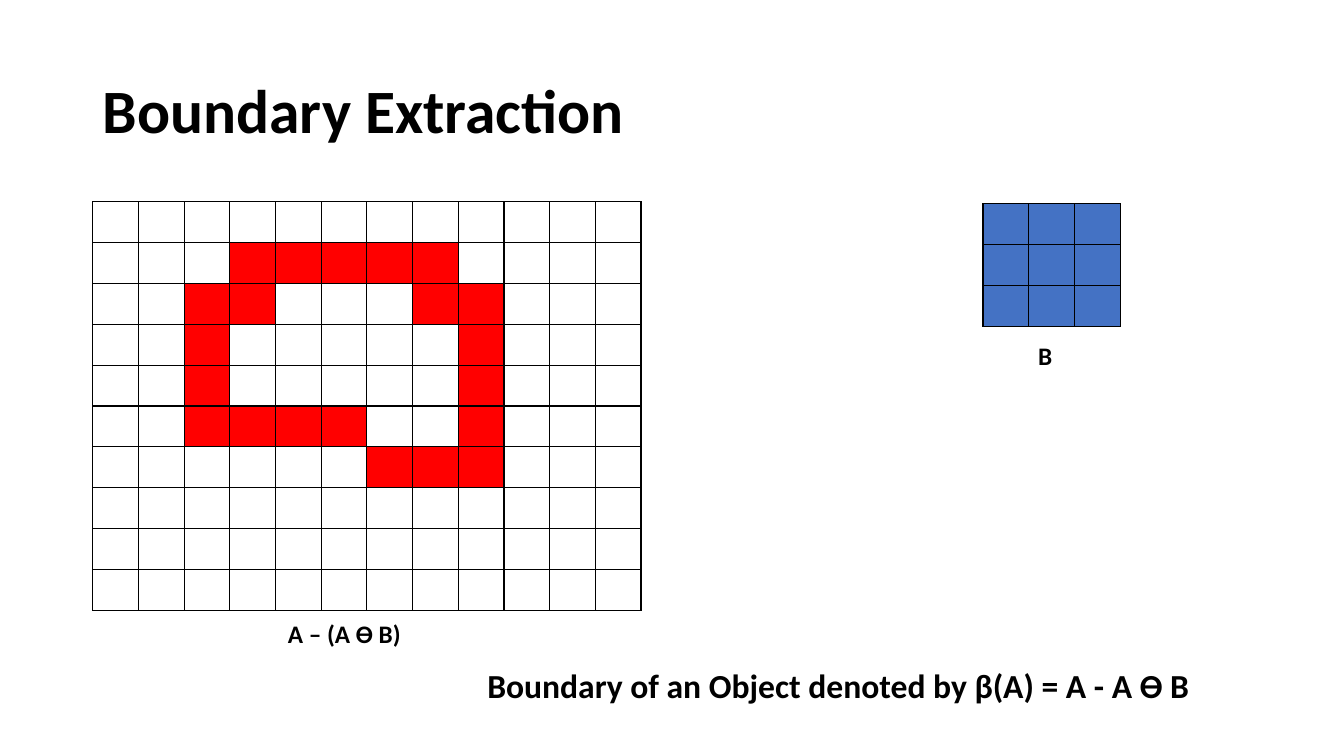
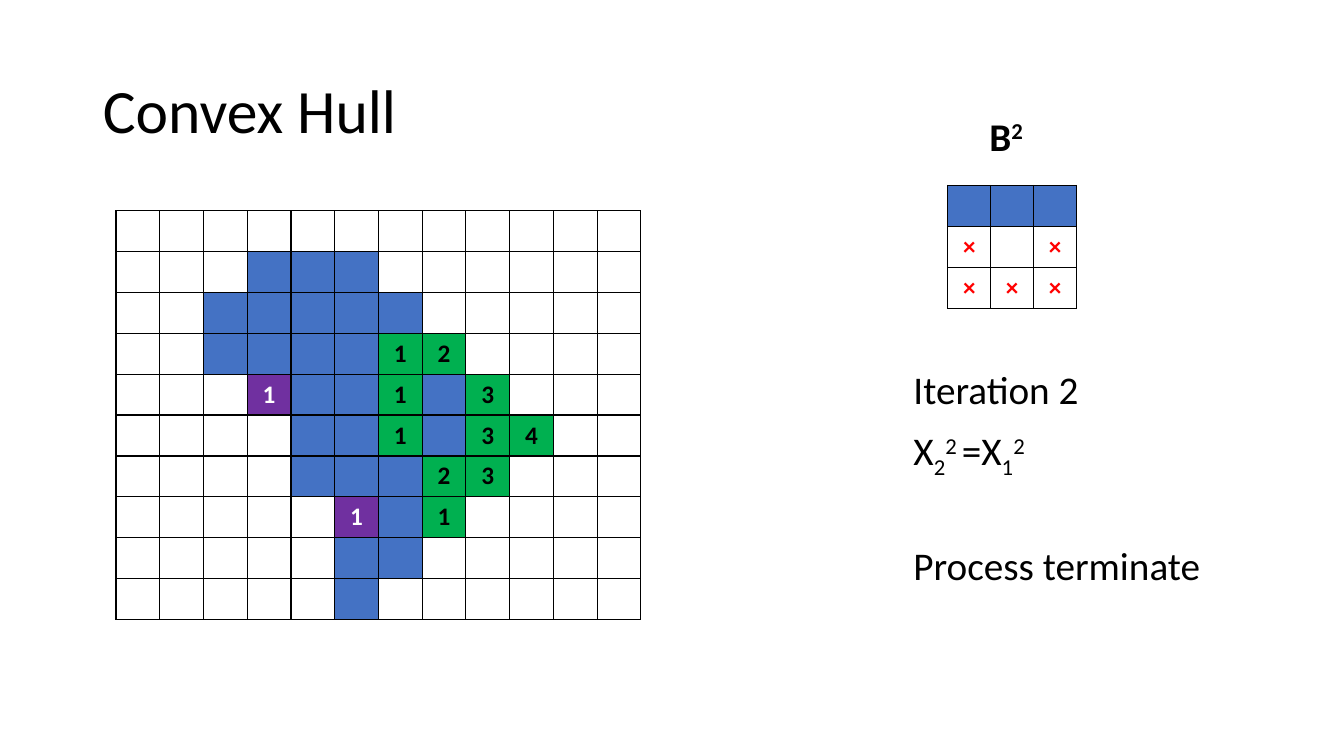
import pptx
import pptx.dml.color
import pptx.enum.text
import pptx.oxml.ns
import pptx.util
import lxml.etree

RGB = pptx.dml.color.RGBColor
ALIGN = pptx.enum.text.PP_ALIGN
ANCHOR = pptx.enum.text.MSO_ANCHOR
qn = pptx.oxml.ns.qn

PX = 9144  # 100 px to the inch
FONT = "Calibri"
BLACK = RGB(0x00, 0x00, 0x00)
WHITE = RGB(0xFF, 0xFF, 0xFF)
RED = RGB(0xFF, 0x00, 0x00)
BLUE = RGB(0x44, 0x72, 0xC4)
GREEN = RGB(0x00, 0xB0, 0x50)
VIOLET = RGB(0x70, 0x30, 0xA0)

SUB, SUPER = -25000, 30000
ROW = 40  # height of a grid row

# Cell marks: fill, text, text colour
MARKS = {
    ".": (None, "", BLACK),
    "r": (RED, "", BLACK),
    "b": (BLUE, "", BLACK),
    "p": (VIOLET, "1", WHITE),
    "x": (None, "×", RED),
}
MARKS.update({digit: (GREEN, digit, BLACK) for digit in "1234"})

EDGE = [
    "............",
    "...rrrrr....",
    "..rr...rr...",
    "..r.....r...",
    "..r.....r...",
    "..rrrr..r...",
    "......rrr...",
    "............",
    "............",
    "............",
]
HULL = [
    "............",
    "...bbb......",
    "..bbbbb.....",
    "..bbbb12....",
    "...pbb1b3...",
    "....bb1b34..",
    "....bbb23...",
    ".....pb1....",
    ".....bb.....",
    ".....b......",
]
BLOCK = ["bbb"] * 3
PROBE = ["bbb", "x.x", "xxx"]


def place(shape, box):
    """Move a shape to a box given in px."""
    shape.left, shape.top, shape.width, shape.height = [n * PX for n in box]


def write(para, parts, size, bold=False, color=BLACK):
    """Add (text, baseline) parts to a paragraph, one run each."""
    for text, base in parts:
        run = para.add_run()
        run.text = text
        font = run.font
        font.name, font.size, font.bold = FONT, pptx.util.Pt(size), bold
        font.color.rgb = color
        if base:
            run._r.get_or_add_rPr().set("baseline", str(base))


def title(slide, text, bold):
    shape = slide.shapes.title
    place(shape, (92, 40, 1150, 145))
    frame = shape.text_frame
    frame.vertical_anchor = ANCHOR.MIDDLE
    frame.auto_size = pptx.enum.text.MSO_AUTO_SIZE.NONE
    para = frame.paragraphs[0]
    para.alignment = ALIGN.LEFT
    para.line_spacing = 0.9
    write(para, [(text, 0)], 44, bold)


def label(slide, box, parts, size):
    """Bold centred text in the middle of a box."""
    shape = slide.shapes.add_textbox(0, 0, 0, 0)
    place(shape, box)
    frame = shape.text_frame
    frame.word_wrap = True
    frame.vertical_anchor = ANCHOR.MIDDLE
    para = frame.paragraphs[0]
    para.alignment = ALIGN.CENTER
    write(para, parts, size, True)


def border(cell):
    props = cell._tc.get_or_add_tcPr()
    for side in ("a:lnL", "a:lnR", "a:lnT", "a:lnB"):
        line = lxml.etree.SubElement(props, qn(side), w="12700")
        fill = lxml.etree.SubElement(line, qn("a:solidFill"))
        lxml.etree.SubElement(fill, qn("a:srgbClr"), val=str(BLACK))


def grid(slide, left, top, width, rows):
    """Draw rows of cell marks as a table of equal columns."""
    box = [n * PX for n in (left, top, width, ROW * len(rows))]
    table = slide.shapes.add_table(len(rows), len(rows[0]), *box).table
    table.first_row = table.horz_banding = False
    for r, row in enumerate(rows):
        for c, mark in enumerate(row):
            fill, text, color = MARKS[mark]
            cell = table.cell(r, c)
            border(cell)
            if fill is None:
                cell.fill.background()
            else:
                cell.fill.solid()
                cell.fill.fore_color.rgb = fill
            if text:
                para = cell.text_frame.paragraphs[0]
                para.alignment = ALIGN.CENTER
                write(para, [(text, 0)], 18, True, color)


def body(slide, box, lines):
    """Fill the body placeholder with (space before, parts) lines."""
    shape = slide.placeholders[1]
    place(shape, box)
    frame = shape.text_frame
    frame.auto_size = pptx.enum.text.MSO_AUTO_SIZE.NONE
    for i, (gap, parts) in enumerate(lines):
        para = frame.add_paragraph() if i else frame.paragraphs[0]
        props = para._p.get_or_add_pPr()
        props.set("marL", "0")
        props.set("indent", "0")
        lxml.etree.SubElement(props, qn("a:buNone"))
        para.line_spacing = 0.9
        para.space_before = pptx.util.Pt(gap)
        write(para, parts, 28)


def edges(deck):
    slide = deck.slides.add_slide(deck.slide_layouts[5])
    title(slide, "Boundary Extraction", True)
    # Object and structuring element
    grid(slide, 92, 200, 544, EDGE)
    grid(slide, 975, 202, 136, BLOCK)
    # Captions
    label(slide, (247, 578, 189, 100), [("A – (A Ɵ B)", 0)], 18)
    label(slide, (942, 303, 189, 100), [("B", 0)], 18)
    rule = "Boundary of an Object denoted by β(A) = A - A Ɵ B"
    label(slide, (470, 630, 723, 100), [(rule, 0)], 24)


def hull(deck):
    slide = deck.slides.add_slide(deck.slide_layouts[1])
    title(slide, "Convex Hull", False)
    # Object and structuring element
    grid(slide, 115, 209, 521, HULL)
    grid(slide, 940, 184, 128, PROBE)
    label(slide, (948, 85, 100, 100), [("B", 0), ("2", SUPER)], 28)
    # Iteration steps
    body(slide, (896, 363, 332, 240), [
        (0, [("Iteration 2", 0)]),
        (10, [("X", 0), ("2", SUB), ("2 ", SUPER),
              ("=X", 0), ("1", SUB), ("2", SUPER)]),
        (51, [("Process terminate", 0)]),
    ])


def main():
    deck = pptx.Presentation()
    deck.slide_width, deck.slide_height = 1333 * PX, 750 * PX
    edges(deck)
    hull(deck)
    deck.save("out.pptx")


if __name__ == "__main__":
    main()
